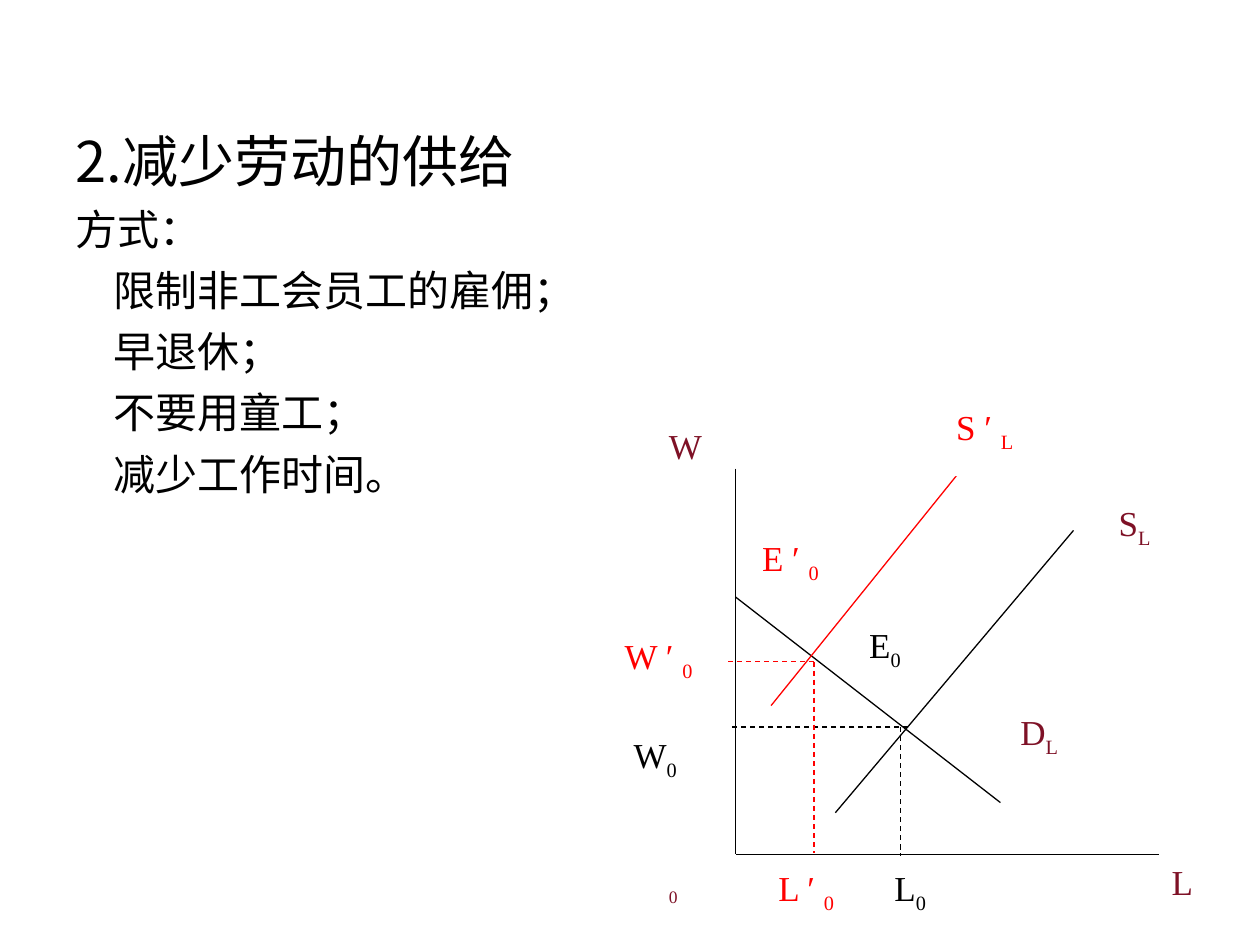
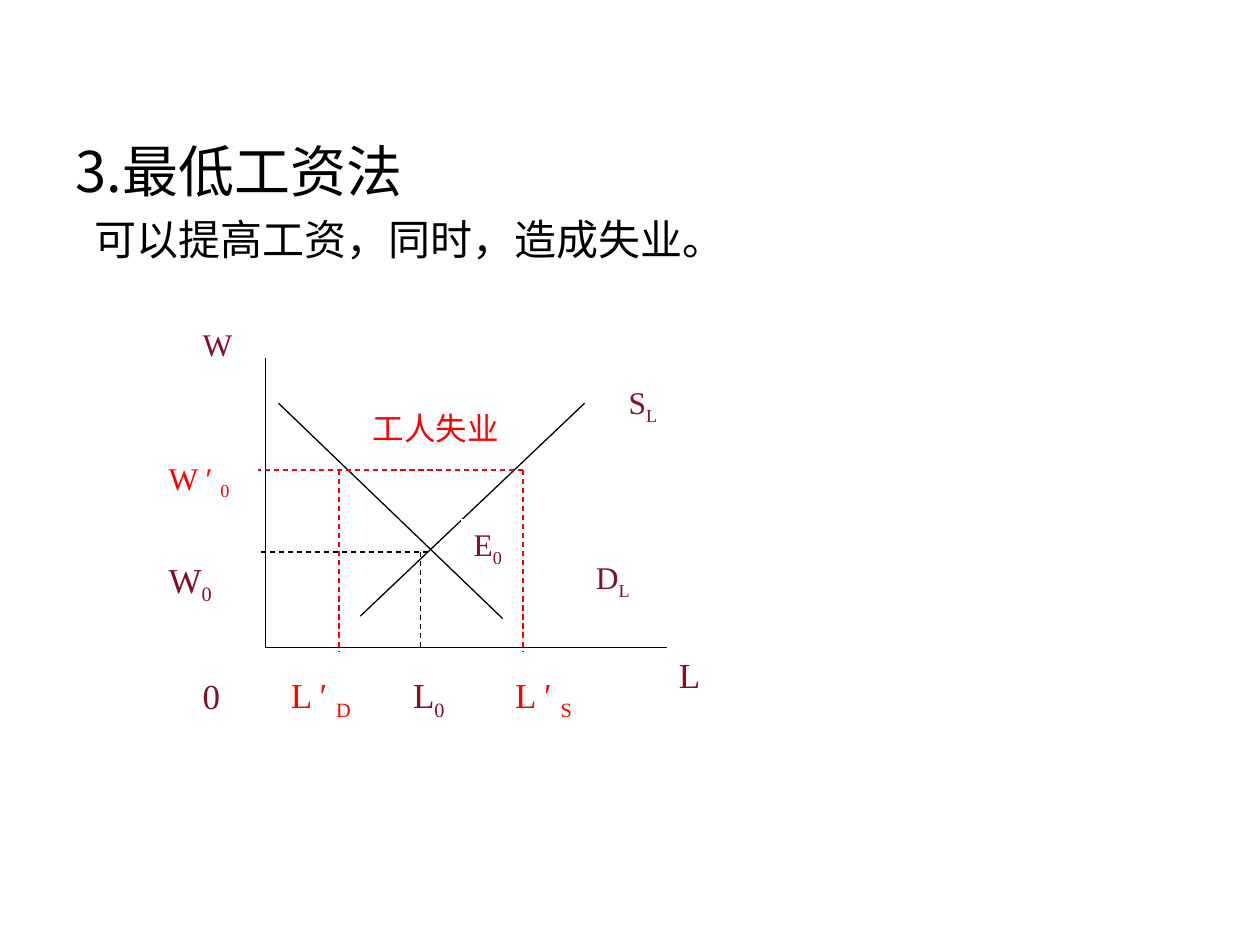
from lxml import etree
from pptx import Presentation
from pptx import util as u
from pptx.dml.color import RGBColor
from pptx.enum import dml, shapes, text
from pptx.oxml.ns import qn

INK, WINE, RED, PAPER = "000000", "7E1126", "FF0000", "FFFFFF"
CJK, SERIF = "Noto Sans CJK SC", "Times New Roman"
MARGIN, TEXT_WIDTH = 0.5, 9
BODY_OFFSET = 0.69  # from the top of the title to the top of the body


def rgb(hex_color):
    return RGBColor.from_string(hex_color)


def add_run(paragraph, words, size, color, face, subscript=False):
    run = paragraph.add_run()
    run.text = words
    run.font.size = u.Pt(size)
    run.font.name = face
    run.font.color.rgb = rgb(color)
    props = run._r.get_or_add_rPr()
    if face == CJK:
        run.font._element.find(qn("a:latin")).addnext(
            etree.Element(qn("a:ea"), typeface=face))
    if subscript:
        props.set("baseline", "-25000")


def place(holder, top, height):
    """Move a placeholder into the text column and top-align it."""
    holder.left, holder.top = u.Inches(MARGIN), u.Inches(top)
    holder.width, holder.height = u.Inches(TEXT_WIDTH), u.Inches(height)
    frame = holder.text_frame
    frame.word_wrap = True
    frame.auto_size = text.MSO_AUTO_SIZE.NONE
    frame.vertical_anchor = text.MSO_ANCHOR.TOP
    return frame


def outline(slide, top, heading, points):
    """Heading and its list; points are (words, indent in inches)."""
    title = place(slide.shapes.title, top, 0.62)
    title.margin_bottom = 0
    line = title.paragraphs[0]
    line.alignment = text.PP_ALIGN.LEFT
    line.line_spacing = u.Pt(41)
    add_run(line, heading, 32, INK, CJK)

    body = place(slide.placeholders[1], top + BODY_OFFSET, 6.7 - top - BODY_OFFSET)
    body.margin_top = 0
    for i, (words, indent) in enumerate(points):
        line = body.add_paragraph() if i else body.paragraphs[0]
        props = line._p.get_or_add_pPr()
        props.set("marL", str(u.Inches(indent)))
        props.set("indent", "0")
        etree.SubElement(props, qn("a:buNone"))
        line.line_spacing = u.Pt(29)
        line.space_before = u.Pt(6 if i else 0)
        add_run(line, words, 24, INK, CJK)


class MarketDiagram:
    """Labour market diagram on a grid of columns and rows inside a box."""

    def __init__(self, slide, left, top, width, height, columns, rows):
        self.shapes = slide.shapes
        self.left, self.top = left, top
        self.column, self.row = width / columns, height / rows

    def x(self, columns):
        return u.Inches(self.left + columns * self.column)

    def y(self, rows):
        return u.Inches(self.top + rows * self.row)

    def line(self, x1, y1, x2, y2, color=INK, dashed=False):
        line = self.shapes.add_connector(
            shapes.MSO_CONNECTOR.STRAIGHT,
            self.x(x1), self.y(y1), self.x(x2), self.y(y2))
        line.line.color.rgb = rgb(color)
        line.line.width = u.Pt(0.75)
        if dashed:
            line.line.dash_style = dml.MSO_LINE.DASH
        etree.SubElement(line._element.spPr, qn("a:effectLst"))

    def label(self, symbol, sub, color, size, x, y, width, height):
        box = self.shapes.add_shape(
            shapes.MSO_SHAPE.RECTANGLE, self.x(x), self.y(y),
            u.Inches(width * self.column), u.Inches(height * self.row))
        box.shadow.inherit = False
        box.fill.solid()
        box.fill.fore_color.rgb = rgb(PAPER)
        box.line.fill.background()
        frame = box.text_frame
        frame.word_wrap = True
        frame.vertical_anchor = text.MSO_ANCHOR.TOP
        caption = frame.paragraphs[0]
        caption.alignment = text.PP_ALIGN.JUSTIFY
        add_run(caption, symbol, size, color, SERIF)
        if sub:
            add_run(caption, sub, size, color, SERIF, subscript=True)

    def draw(self, curves, guides, labels):
        for curve in curves:
            self.line(*curve)
        for guide in guides:
            self.line(*guide, dashed=True)
        # Labels are opaque, so they go on top of the lines
        for label in labels:
            self.label(*label)


def supply_slide(slide):
    outline(slide, 0.92, "2.减少劳动的供给", [
        ("方式：", 0),
        ("限制非工会员工的雇佣；", 0.3),
        ("早退休；", 0.3),
        ("不要用童工；", 0.3),
        ("减少工作时间。", 0.3),
    ])
    wage_axis, labour_axis = 10.4, 36.8
    old_wage, new_wage, new_labour = 26.7, 21.5, 16.6
    MarketDiagram(slide, 4.8, 3.1, 5.1, 4.4, 51, 44).draw(
        curves=[
            (wage_axis, 6.2, wage_axis, labour_axis),
            (wage_axis, labour_axis, 44, labour_axis),
            (wage_axis, 16.4, 31.4, 32.7),  # demand
            (18.3, 33.5, 37.2, 11.1),  # supply
            (13.2, 25, 28.6, 5.9, RED),  # reduced supply
        ],
        guides=[
            (23.5, old_wage, 23.5, 36.9),
            (24.1, old_wage, 9.8, old_wage),
            (new_labour, new_wage, new_labour, 36.7, RED),
            (new_labour, new_wage, 9.8, new_wage, RED),
        ],
        labels=[
            ("L", "", WINE, 20, 44, labour_axis, 6.3, 6.1),
            ("W", "", WINE, 20, 4.1, 2.2, 4.2, 6),
            ("S", "L", WINE, 20, 39.8, 8.3, 6.3, 6.1),
            ("D", "L", WINE, 20, 32, 24.9, 8.4, 6.1),
            ("S ′ ", "L", RED, 20, 26.9, 0.7, 8.4, 6.1),
            ("L", "0", INK, 20, 22, 37.3, 6.3, 4.3),
            ("W", "0", INK, 20, 1.3, old_wage, 8.4, 6.1),
            ("L ′ ", "0", RED, 20, 12.8, 37.3, 8.4, 4),
            ("W ′ ", "0", RED, 20, 0.6, 18.9, 8.3, 4),
            ("E", "0", INK, 20, 20, 18, 5.1, 5.2),
            ("E ′ ", "0", RED, 20, 11.5, 11.1, 6.8, 5.2),
            ("0", "", WINE, 10, 4.1, 38.8, 6.3, 5.2),
        ])


def minimum_wage_slide(slide):
    outline(slide, 1, "3.最低工资法", [("可以提高工资，同时，造成失业。", 0.15)])
    wage_axis, labour_axis, label_row = 9.1, 26.4, 28
    market_wage, minimum_wage = 18.8, 12.3
    demanded, supplied = 14.9, 29.5
    MarketDiagram(slide, 1.2, 2.5, 4.7, 3.3, 47, 33).draw(
        curves=[
            (wage_axis, 3.4, wage_axis, labour_axis),
            (wage_axis, labour_axis, 40.9, labour_axis),
            (10.1, 7, 27.9, 24.1),  # demand
            (16.6, 23.9, 34.4, 7),  # supply
        ],
        guides=[
            (21.4, market_wage, 21.4, 26.5),
            (22, market_wage, 8.5, market_wage),
            (supplied, minimum_wage, supplied, 26.7, RED),
            (supplied, minimum_wage, 8.5, minimum_wage, RED),
            (demanded, minimum_wage, demanded, 26.7, RED),
        ],
        labels=[
            ("L", "", WINE, 20, 40.9, labour_axis, 6, 4.6),
            ("W", "", WINE, 18, 3.1, 0.3, 4, 4.6),
            ("S", "L", WINE, 18, 36.9, 4.9, 6, 4.6),
            ("D", "L", WINE, 18, 34.3, market_wage, 7.9, 4.6),
            ("L", "0", WINE, 20, 19.8, label_row, 6, 4.6),
            ("W", "0", WINE, 20, 0.4, market_wage, 8, 4.6),
            ("L ′ ", "S", RED, 20, 27.9, label_row, 7.9, 4.6),
            ("W ′ ", "0", RED, 18, 0.4, 10.9, 8, 4.6),
            ("E", "0", WINE, 18, 24.6, 16.2, 4.8, 3.9),
            ("工人失业", "", RED, 18, 16.6, 7, 12.9, 3.9),
            ("0", "", WINE, 20, 3.1, label_row, 5.9, 3.9),
            ("L ′ ", "D", RED, 20, 10.1, label_row, 7.9, 4.6),
        ])


def main():
    deck = Presentation()
    deck.slide_width, deck.slide_height = u.Inches(10), u.Inches(7.5)
    for build in (supply_slide, minimum_wage_slide):
        build(deck.slides.add_slide(deck.slide_layouts[1]))
    deck.save("out.pptx")


if __name__ == "__main__":
    main()
